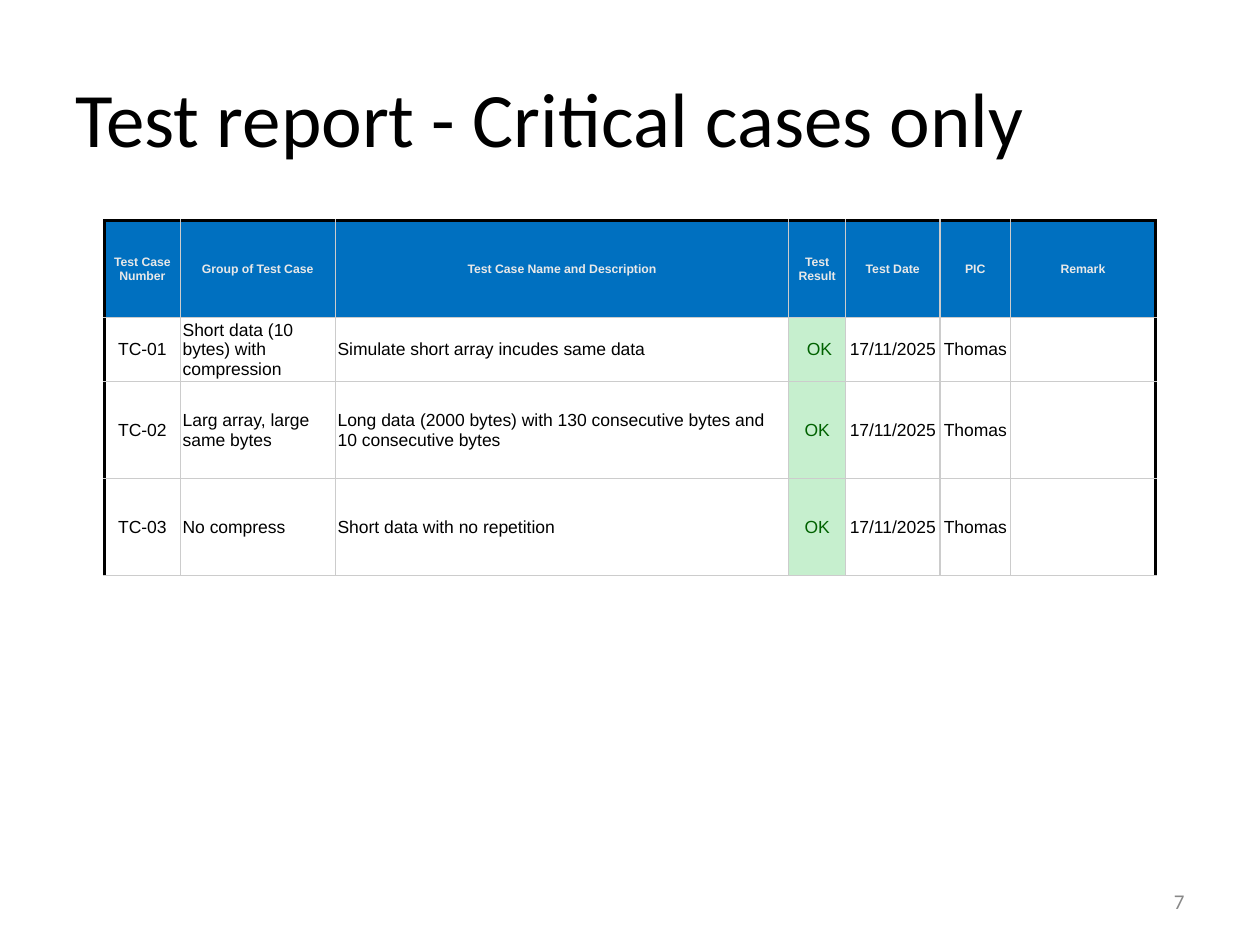
from lxml.etree import SubElement
from pptx import Presentation
from pptx.dml.color import RGBColor
from pptx.enum.text import MSO_ANCHOR, PP_ALIGN
from pptx.oxml.ns import qn
from pptx.util import Inches, Pt

COL_WIDTHS = [0.6, 1.23, 3.6, 0.45, 0.75, 0.56, 1.15]
ROW_HEIGHTS = [0.77, 0.51, 0.77, 0.77]
LEFT_COLS = (1, 2)
RESULT_COL = 3
ROWS = [
    ["Test Case Number", "Group of Test Case", "Test Case Name and Description",
     "Test Result", "Test Date", "PIC", "Remark"],
    ["TC-01", "Short data (10 bytes) with compression",
     "Simulate short array incudes same data", " OK", "17/11/2025", "Thomas", ""],
    ["TC-02", "Larg array, large same bytes",
     "Long data (2000 bytes) with 130 consecutive bytes and 10 consecutive bytes",
     "OK", "17/11/2025", "Thomas", ""],
    ["TC-03", "No compress", "Short data with no repetition",
     "OK", "17/11/2025", "Thomas", ""],
]


def rgb(value):
    return RGBColor.from_string(value)


class ReportSlide:
    title_font = {"name": "Calibri", "size": Pt(44), "bold": False}
    number_font = {"name": "Calibri", "size": Pt(12), "bold": False}
    header_font = {"name": "Arial", "size": Pt(7), "bold": True}
    body_font = {"name": "Arial", "size": Pt(10), "bold": False}
    cell_format = {"margin_left": Inches(0.02), "margin_right": Inches(0.02),
                   "margin_top": 0, "margin_bottom": 0,
                   "vertical_anchor": MSO_ANCHOR.MIDDLE}
    black, grid, blue, green = "000000", "CCCCCC", "0070C0", "C6EFCE"
    header_text, ok_text, number_text = "E8E8E8", "006100", "888888"

    def __init__(self, prs):
        self.s = prs.slides.add_slide(prs.slide_layouts[5])

    def add_text(self, tf, text, font, color, align):
        p = tf.paragraphs[0]
        p.alignment = align
        r = p.add_run()
        r.text = text
        for name, value in font.items():
            setattr(r.font, name, value)
        r.font.color.rgb = rgb(color)

    def place(self, sp, left, top, width, height):
        sp.left, sp.top = Inches(left), Inches(top)
        sp.width, sp.height = Inches(width), Inches(height)

    def title(self, text, *box):
        sp = self.s.shapes.title
        self.place(sp, *box)
        sp.text_frame.vertical_anchor = MSO_ANCHOR.MIDDLE
        self.add_text(sp.text_frame, text, self.title_font, self.black, PP_ALIGN.LEFT)

    def page_number(self, text, *box):
        sp = self.s.shapes.add_textbox(*map(Inches, box))
        tf = sp.text_frame
        tf.word_wrap = True
        tf.vertical_anchor = MSO_ANCHOR.MIDDLE
        self.add_text(tf, text, self.number_font, self.number_text, PP_ALIGN.RIGHT)

    def borders(self, cell, outer):
        """Draw thick black lines on the outer sides and thin grid lines elsewhere."""
        tc_pr = cell._tc.get_or_add_tcPr()
        for side in "LRTB":
            color, width = (self.black, 1.5) if side in outer else (self.grid, 0.75)
            ln = SubElement(tc_pr, qn(f"a:ln{side}"), w=str(Pt(width)))
            fill = SubElement(ln, qn("a:solidFill"))
            SubElement(fill, qn("a:srgbClr"), val=color)

    def cell(self, cell, text, row, col):
        for name, value in self.cell_format.items():
            setattr(cell, name, value)
        outer = "".join(side for side, hit in (
            ("L", col == 0), ("T", row == 0), ("R", col == len(COL_WIDTHS) - 1)) if hit)
        self.borders(cell, outer)

        font, fill, color = self.body_font, None, self.black
        if row == 0:
            font, fill, color = self.header_font, self.blue, self.header_text
        elif col == RESULT_COL:
            fill, color = self.green, self.ok_text
        if fill:
            cell.fill.solid()
            cell.fill.fore_color.rgb = rgb(fill)
        else:
            cell.fill.background()

        if text:
            left = row > 0 and col in LEFT_COLS
            self.add_text(cell.text_frame, text, font, color,
                          PP_ALIGN.LEFT if left else PP_ALIGN.CENTER)

    def table(self, rows, left, top):
        table = self.s.shapes.add_table(
            len(rows), len(COL_WIDTHS), Inches(left), Inches(top),
            Inches(sum(COL_WIDTHS)), Inches(sum(ROW_HEIGHTS))).table
        table.horz_banding = False
        table.first_row = False
        for column, width in zip(table.columns, COL_WIDTHS):
            column.width = Inches(width)
        for i, (height, texts) in enumerate(zip(ROW_HEIGHTS, rows)):
            table.rows[i].height = Inches(height)
            for j, text in enumerate(texts):
                self.cell(table.cell(i, j), text, i, j)


def main():
    prs = Presentation()
    prs.slide_width, prs.slide_height = Inches(10), Inches(7.5)
    report = ReportSlide(prs)
    report.title("Test report - Critical cases only", 0.5, 0.3, 9, 1.25)
    report.page_number("7", 7.17, 6.95, 2.33, 0.4)
    report.table(ROWS, 0.83, 1.75)
    prs.save("out.pptx")


if __name__ == "__main__":
    main()
